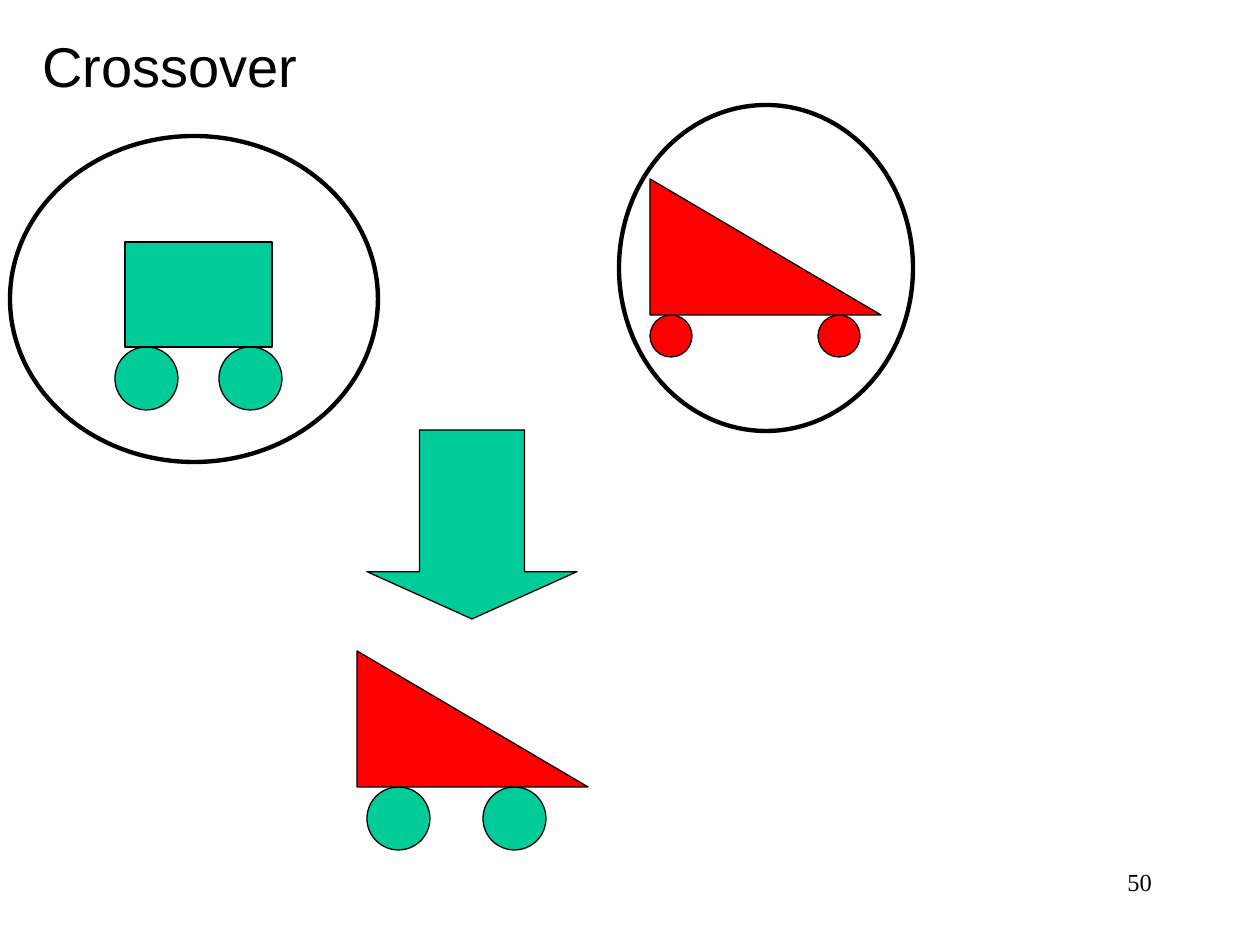
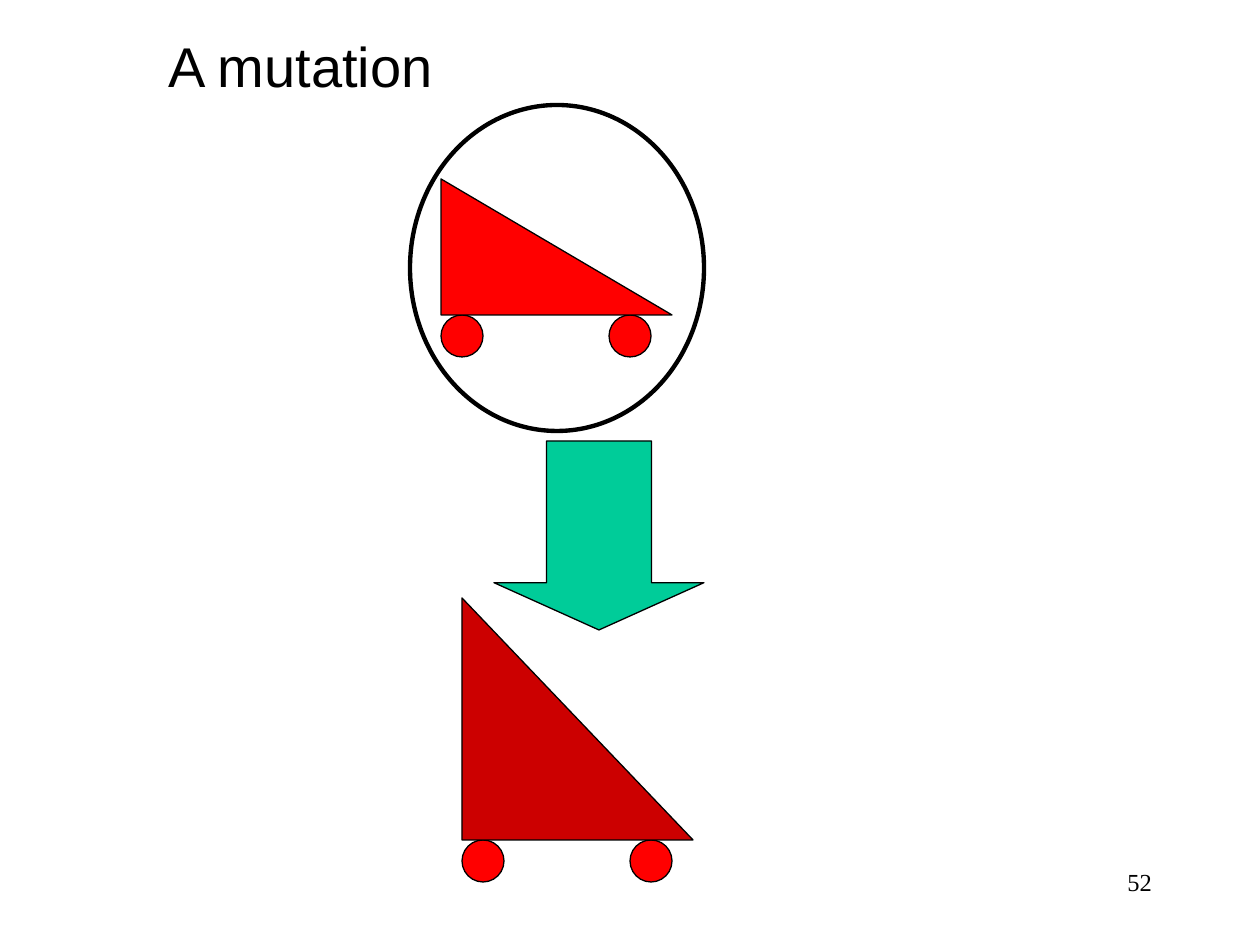
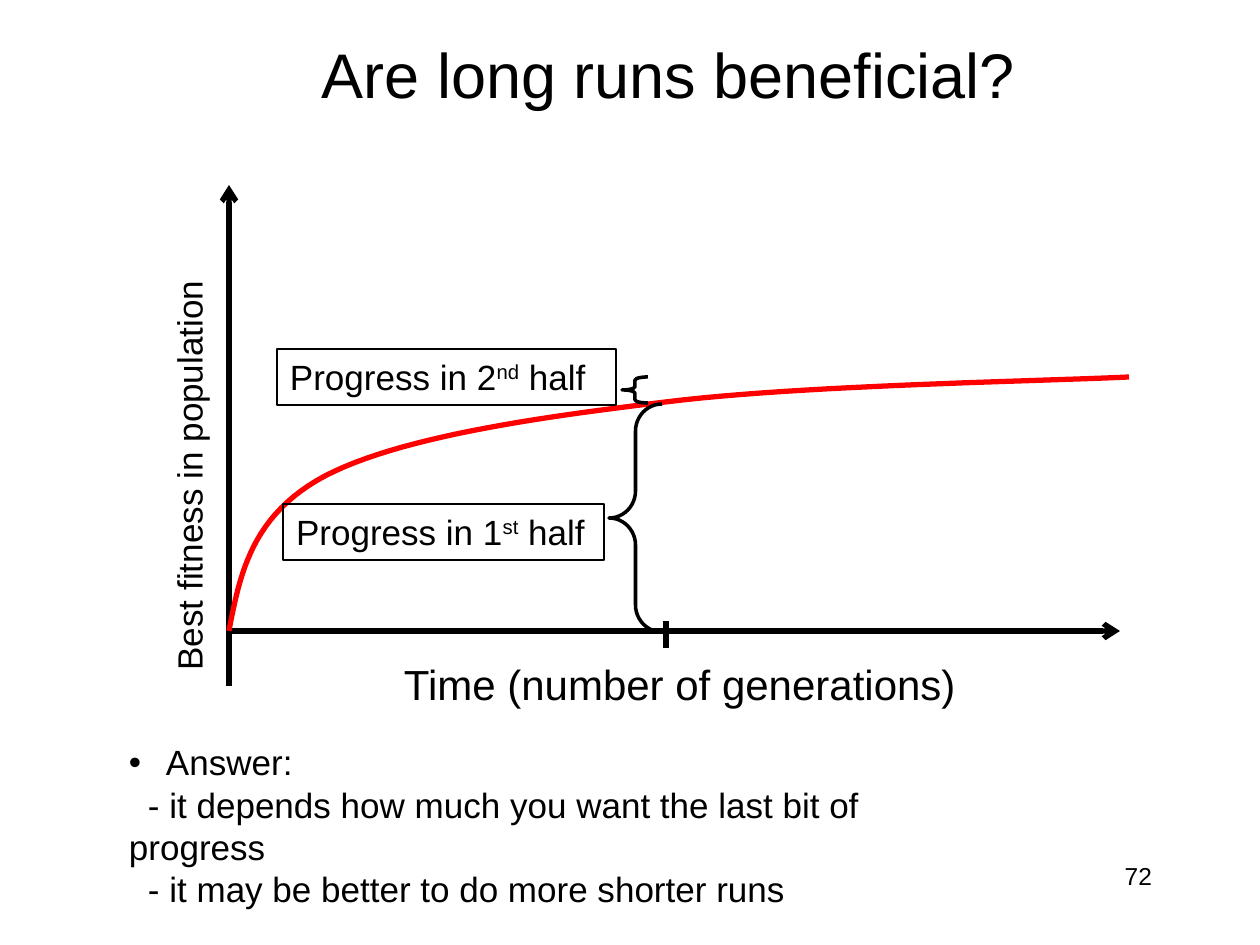
import pptx
import pptx.util
import pptx.dml.color
import pptx.enum.shapes
import pptx.enum.text
import pptx.oxml
import pptx.oxml.ns

SCALE = 914400 / 126
BLACK, GREEN, RED, DARK = "000000", "00CC99", "FF0000", "CC0000"
FORM = pptx.enum.shapes.MSO_SHAPE
ALIGN = pptx.enum.text.PP_ALIGN
ANCHOR = pptx.enum.text.MSO_ANCHOR
THIN, BOLD, HEAVY = 0.75, 2.5, 3


def px(*vals):
    """Turn pixel lengths into EMU."""
    return [round(val * SCALE) for val in vals]


def tint(code):
    """Give the colour of a hex string."""
    return pptx.dml.color.RGBColor.from_string(code)


def add_xml(parent, tag, **attrs):
    """Append a drawing element with its attributes."""
    node = pptx.oxml.parse_xml(f"<a:{tag} {pptx.oxml.ns.nsdecls('a')}/>")
    for key, val in attrs.items():
        node.set(key, val)
    parent.append(node)


def ink(line, code, width):
    """Set the colour and width of a line."""
    line.color.rgb = tint(code)
    line.width = pptx.util.Pt(width)


def style(para, size, face="Arial"):
    """Format the runs of a paragraph."""
    for run in para.runs:
        run.font.size = pptx.util.Pt(size)
        run.font.name = face
        run.font.color.rgb = tint(BLACK)


def add_form(slide, form, box, fill=None, width=THIN, adjust=()):
    """Draw a preset shape with a black outline."""
    shape = slide.shapes.add_shape(form, *px(*box))
    shape.shadow.inherit = False
    if fill:
        shape.fill.solid()
        shape.fill.fore_color.rgb = tint(fill)
    else:
        shape.fill.background()
    ink(shape.line, BLACK, width)
    for i, val in enumerate(adjust):
        shape.adjustments[i] = val
    return shape


def set_frame(shape, wrap, inset=13):
    """Set wrapping and margins of a text frame."""
    frame = shape.text_frame
    frame.word_wrap = wrap
    frame.auto_size = pptx.enum.text.MSO_AUTO_SIZE.NONE
    frame.vertical_anchor = ANCHOR.TOP
    frame.margin_left = frame.margin_right = px(inset)[0]
    frame.margin_top = frame.margin_bottom = px(6)[0]
    return frame


def add_text(slide, box, text, size, face="Arial", align=ALIGN.LEFT, wrap=False):
    """Add a text box and return it."""
    shape = slide.shapes.add_textbox(*px(*box))
    frame = set_frame(shape, wrap)
    frame.text = text
    for para in frame.paragraphs:
        para.alignment = align
        style(para, size, face)
    return shape


def add_title(slide, box, text, size=32):
    """Place and format the title as a left-aligned line."""
    shape = slide.shapes.title
    shape.left, shape.top, shape.width, shape.height = px(*box)
    frame = set_frame(shape, False)
    frame.text = text
    frame.paragraphs[0].alignment = ALIGN.LEFT
    style(frame.paragraphs[0], size)
    return frame


def add_page(slide, text, top=861, face="Times New Roman"):
    """Add the page number."""
    add_text(slide, (903, top, 262, 63), text, 14, face, ALIGN.RIGHT, True)


def add_cart(slide, form, box, body, wheel, size, steps):
    """Draw a cart: a body with two wheels hung below it."""
    left, top, _, high = box
    for step in steps:
        add_form(slide, FORM.OVAL, (left + step, top + high, size, size), wheel)
    add_form(slide, form, box, body)


def add_wedge(slide, left, top, high=136, body=RED):
    """Draw a wedge cart with small red wheels."""
    box = left, top, 231, high
    add_cart(slide, FORM.RIGHT_TRIANGLE, box, body, RED, 42, (0, 168))


def add_ring(slide, box):
    """Draw a ring round a chosen cart."""
    add_form(slide, FORM.OVAL, box, width=BOLD)


def add_arrow(slide, left, top):
    """Draw the arrow from parents to child."""
    add_form(slide, FORM.DOWN_ARROW, (left, top, 210, 189), GREEN, adjust=(0.5, 0.25))


def cross_slide(slide):
    """Show two carts that yield a mixed one."""
    add_title(slide, (29, 25, 282, 81), "Crossover")
    add_cart(slide, FORM.RECTANGLE, (125, 242, 147, 105), GREEN, GREEN, 63, (-10, 94))
    add_wedge(slide, 650, 179)
    add_ring(slide, (10, 136, 368, 326))
    add_ring(slide, (619, 105, 294, 326))
    add_arrow(slide, 367, 430)
    add_cart(slide, FORM.RIGHT_TRIANGLE, (357, 651, 231, 136), RED, GREEN, 63, (10, 126))
    add_page(slide, "50")


def mutate_slide(slide):
    """Show one cart that changes its body."""
    add_title(slide, (155, 25, 292, 81), "A mutation")
    add_wedge(slide, 441, 179)
    add_ring(slide, (410, 105, 294, 326))
    add_arrow(slide, 494, 441)
    add_wedge(slide, 462, 598, 242, DARK)
    add_page(slide, "52")


def add_line(slide, start, end, arrow=False):
    """Draw a heavy straight line, with an arrowhead if asked."""
    kind = pptx.enum.shapes.MSO_CONNECTOR.STRAIGHT
    line = slide.shapes.add_connector(kind, *px(*start, *end))
    ink(line.line, BLACK, HEAVY)
    if arrow:
        add_xml(line.line._get_or_add_ln(), "tailEnd", type="arrow")
    add_xml(line._element.spPr, "effectLst")


def bezier(knots, count=24):
    """List points along a cubic curve after its start."""
    spots = []
    for i in range(1, count + 1):
        t = i / count
        parts = (1 - t) ** 3, 3 * t * (1 - t) ** 2, 3 * t * t * (1 - t), t ** 3
        spots.append(tuple(sum(p * k[axis] for p, k in zip(parts, knots)) for axis in (0, 1)))
    return spots


def add_curve(slide, left, base):
    """Draw the fitness curve from the origin of the axes."""
    knots = [(0, 0), (11, -58), (23, -116), (96, -155), (169, -193), (302, -213),
             (437, -229), (571, -246), (823, -250), (900, -254)]
    knots = [(left + x, base + y) for x, y in knots]
    spots = [spot for i in (0, 3, 6) for spot in bezier(knots[i:i + 4])]
    build = slide.shapes.build_freeform(*px(*knots[0]), scale=1.0)
    build.add_line_segments([px(*spot) for spot in spots], close=False)
    curve = build.convert_to_shape()
    curve.shadow.inherit = False
    curve.fill.background()
    ink(curve.line, RED, HEAVY)


def add_note(slide, box, mark, power):
    """Draw a framed label with a raised ordinal ending."""
    shape = add_form(slide, FORM.RECTANGLE, box)
    para = set_frame(shape, True).paragraphs[0]
    para.alignment = ALIGN.LEFT
    for text in (f"Progress in {mark}", power, " half"):
        para.add_run().text = text
    style(para, 20)
    para.runs[1]._r.get_or_add_rPr().set("baseline", "30000")


def add_graph(slide, left, base):
    """Draw the fitness graph about its origin."""
    label = add_text(slide, (left - 248, base - 182, 415, 54), "Best fitness in population", 20)
    label.rotation = 270
    add_line(slide, (left, base), (left + 891, base), True)
    add_line(slide, (left, base + 55), (left, base - 446), True)
    add_text(slide, (left + 162, base + 22, 580, 63), "Time (number of generations)", 24)
    add_curve(slide, left, base)
    brace = add_form(slide, FORM.RIGHT_BRACE, (left + 380, base - 227, 53, 228),
                     width=2, adjust=(0.51, 0.5))
    brace.rotation = 180
    add_note(slide, (left + 54, base - 127, 321, 56), "1", "st")
    add_line(slide, (left + 437, base + 17), (left + 437, base - 10))
    add_form(slide, FORM.LEFT_BRACE, (left + 393, base - 254, 26, 26), width=2, adjust=(0.12, 0.5))
    add_note(slide, (left + 48, base - 282, 339, 56), "2", "nd")


def add_answer(slide, box):
    """Add the answer with its bullet and two points."""
    text = ("Answer:\n- it depends how much you want the last bit of progress\n"
            "- it may be better to do more shorter runs")
    frame = add_text(slide, box, text, 20, wrap=True).text_frame
    for i, para in enumerate(frame.paragraphs):
        para.line_spacing = pptx.util.Pt(24)
        props = para._p.get_or_add_pPr()
        edge, first = (0, 19) if i else (37, -37)
        props.set("marL", str(px(edge)[0]))
        props.set("indent", str(px(first)[0]))
        if not i:
            add_xml(props, "buFont", typeface="Arial")
            add_xml(props, "buChar", char="•")


def run_slide(slide):
    """Show how fitness grows over a long run."""
    frame = add_title(slide, (91, 6, 1071, 116), "Are long runs beneficial?", 36)
    frame.paragraphs[0].alignment = ALIGN.CENTER
    frame.vertical_anchor = ANCHOR.MIDDLE
    frame.margin_left, frame.margin_top, frame.margin_bottom = px(97, 18, 0)
    add_graph(slide, 229, 631)
    add_answer(slide, (116, 735, 890, 139))
    add_page(slide, "72", 855, "Arial")


def main():
    """Build the deck."""
    deck = pptx.Presentation()
    deck.slide_width, deck.slide_height = px(1260, 945)
    for draw in (cross_slide, mutate_slide, run_slide):
        draw(deck.slides.add_slide(deck.slide_layouts[5]))
    deck.save("out.pptx")


if __name__ == "__main__":
    main()
